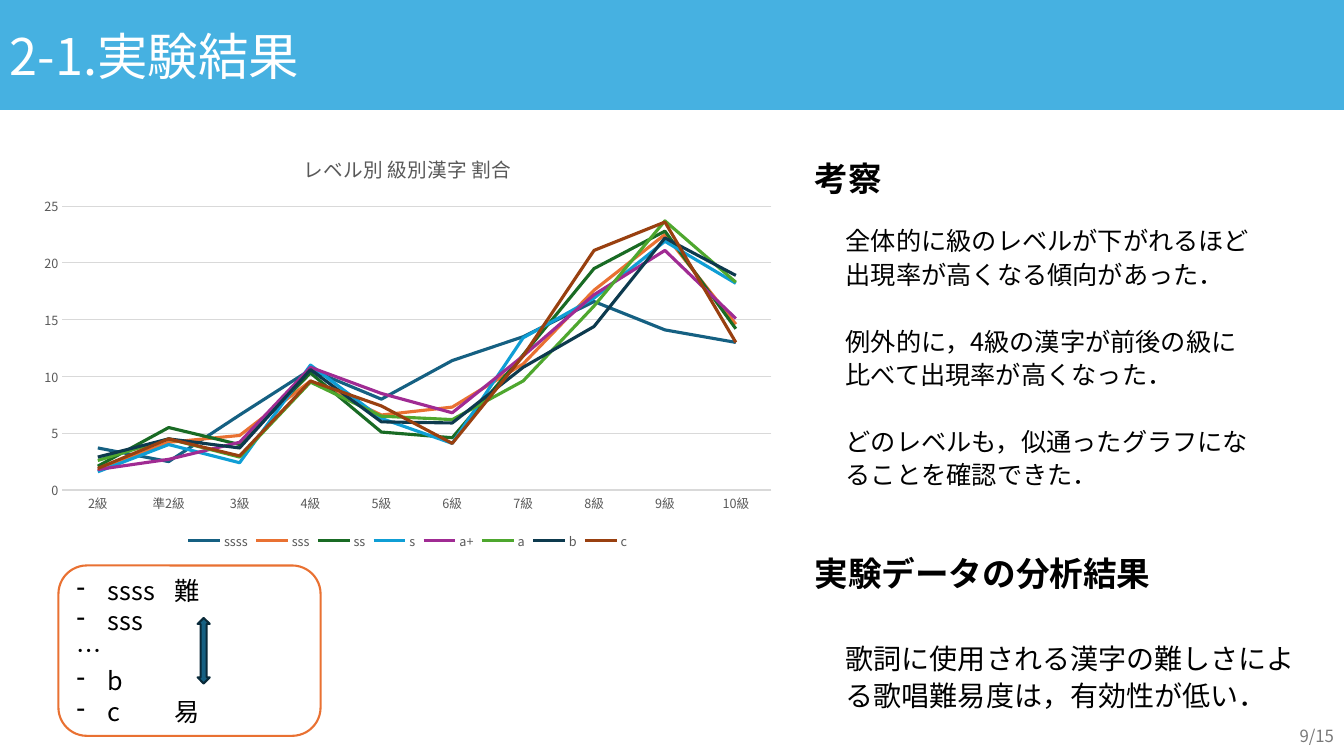
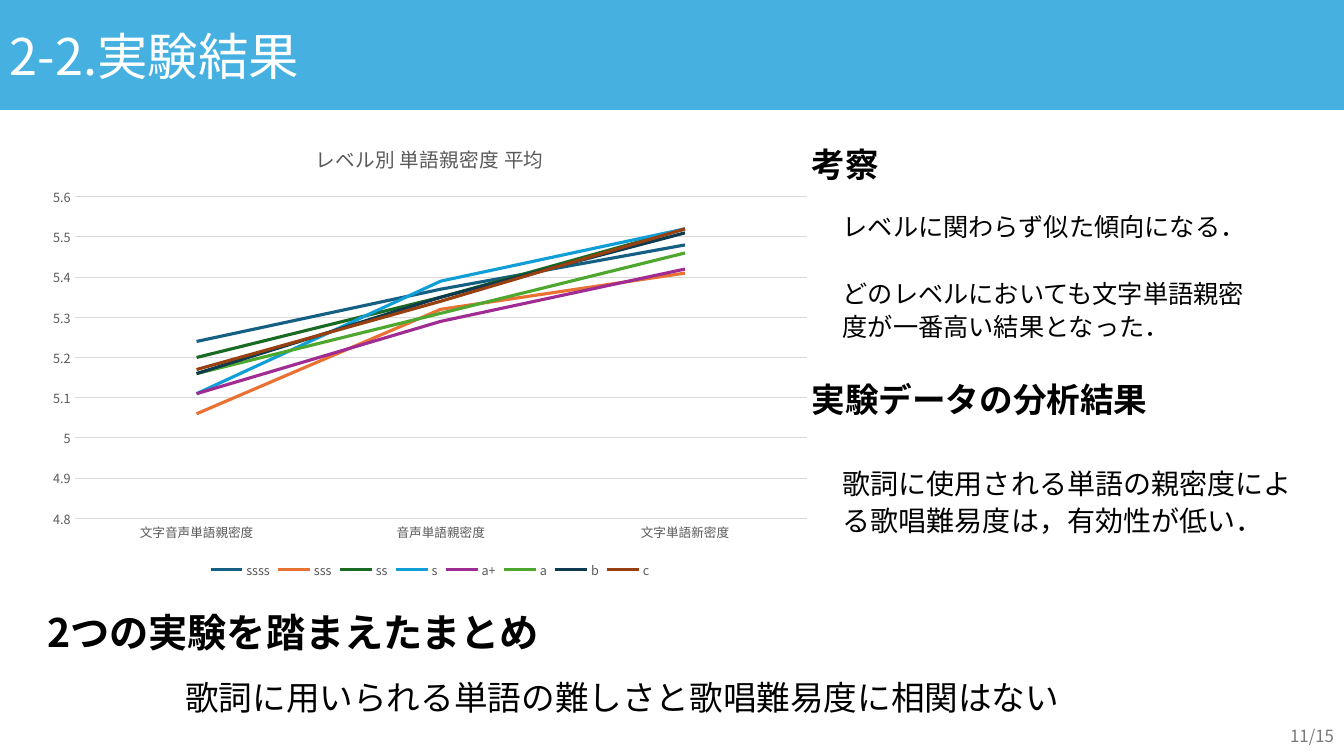
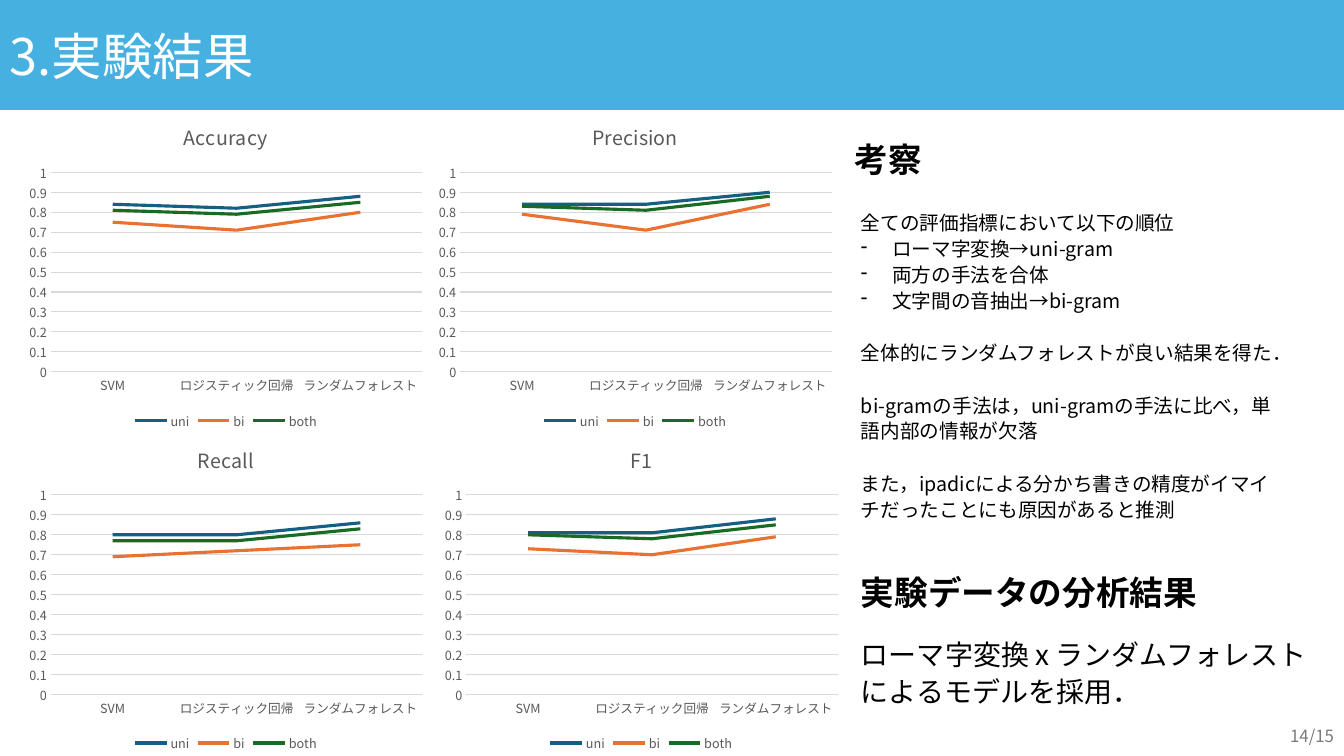
from functools import partial

from lxml.etree import SubElement
from pptx import Presentation
from pptx.chart.data import CategoryChartData
from pptx.dml.color import RGBColor
from pptx.enum.chart import XL_CHART_TYPE as ChartType, XL_LEGEND_POSITION as LegendPos, XL_TICK_MARK as Tick
from pptx.enum.lang import MSO_LANGUAGE_ID as Lang
from pptx.enum.shapes import MSO_SHAPE as Shape
from pptx.enum.text import MSO_ANCHOR as Anchor, PP_ALIGN as Align
from pptx.oxml.ns import qn
from pptx.util import Inches, Pt

FONT = "Noto Sans CJK JP"
BLACK = RGBColor(0x00, 0x00, 0x00)
WHITE = RGBColor(0xFF, 0xFF, 0xFF)
SKY = RGBColor(0x46, 0xB1, 0xE1)
GRAY = RGBColor(0x79, 0x79, 0x79)
LABEL = RGBColor(0x59, 0x59, 0x59)
GRID = RGBColor(0xD9, 0xD9, 0xD9)
TEAL = RGBColor(0x15, 0x60, 0x82)
NAVY = RGBColor(0x09, 0x2A, 0x39)
ORANGE = RGBColor(0xE9, 0x71, 0x32)
SERIES_COLORS = [
    TEAL, ORANGE, RGBColor(0x19, 0x6B, 0x24), RGBColor(0x0F, 0x9E, 0xD5),
    RGBColor(0xA0, 0x2B, 0x93), RGBColor(0x4E, 0xA7, 0x2E),
    RGBColor(0x0D, 0x3A, 0x4E), RGBColor(0x99, 0x40, 0x10),
]
SLIDE_W, SLIDE_H = 13.33, 7.5
INDENT = 0.31
PAGES = 15

GRADES = ["2級", "準2級", "3級", "4級", "5級", "6級", "7級", "8級", "9級", "10級"]
GRADE_RATES = {
    "ssss": [3.7, 2.5, 6.6, 10.6, 8, 11.4, 13.5, 16.6, 14.1, 13],
    "sss": [1.7, 4.2, 4.8, 9.6, 6.6, 7.3, 11.1, 17.6, 22.5, 14.6],
    "ss": [2.1, 5.5, 4, 10.3, 5.1, 4.6, 11.9, 19.5, 22.8, 14.2],
    "s": [1.6, 4, 2.4, 11, 6.3, 4.1, 13.4, 16.9, 21.9, 18.2],
    "a+": [1.8, 2.7, 4.2, 10.8, 8.5, 6.8, 11.8, 17.2, 21.1, 15.1],
    "a": [2.6, 4.5, 2.9, 9.5, 6.5, 6.2, 9.6, 16.2, 23.7, 18.3],
    "b": [2.9, 4.5, 3.7, 10.6, 6, 5.9, 10.8, 14.4, 22.2, 18.9],
    "c": [1.9, 4.5, 3, 9.6, 7.4, 4.1, 11.8, 21.1, 23.6, 13],
}
FAMILIARITY_KINDS = ["文字音声単語親密度", "音声単語親密度", "文字単語新密度"]
FAMILIARITY = {
    "ssss": [5.24, 5.37, 5.48],
    "sss": [5.06, 5.32, 5.41],
    "ss": [5.2, 5.35, 5.52],
    "s": [5.11, 5.39, 5.52],
    "a+": [5.11, 5.29, 5.42],
    "a": [5.16, 5.31, 5.46],
    "b": [5.16, 5.35, 5.51],
    "c": [5.17, 5.34, 5.52],
}
MODELS = ["SVM", "ロジスティック回帰", "ランダムフォレスト"]
SCORES = [
    ("Accuracy", (0.21, 1.04), [0.84, 0.82, 0.88], [0.75, 0.71, 0.8], [0.81, 0.79, 0.85]),
    ("Precision", (4.27, 1.04), [0.84, 0.84, 0.9], [0.79, 0.71, 0.84], [0.83, 0.81, 0.88]),
    ("Recall", (0.21, 4.24), [0.8, 0.8, 0.86], [0.69, 0.72, 0.75], [0.77, 0.77, 0.83]),
    ("F1", (4.33, 4.24), [0.81, 0.81, 0.88], [0.73, 0.7, 0.79], [0.8, 0.78, 0.85]),
]


def style_font(font, size, color, bold=False):
    """Set the shared typeface with a size, colour and weight."""
    font.name, font.size, font.bold = FONT, Pt(size), bold
    font.color.rgb = color


def write(frame, lines, size=18, color=BLACK, bold=False, align=Align.LEFT,
          spacing=None, anchor=Anchor.TOP, tab=None):
    """Fill a frame; "- " starts a bullet and "^" opens a new block."""
    frame.word_wrap, frame.vertical_anchor = True, anchor
    for number, line in enumerate(lines):
        par = frame.paragraphs[0] if number == 0 else frame.add_paragraph()
        par.alignment, par.line_spacing = align, spacing
        if line.startswith("^"):
            par.space_before = Pt(round(size * 1.33))
        props = par._p.get_or_add_pPr()
        if line.startswith("- "):
            props.set("marL", str(Inches(INDENT)))
            props.set("indent", str(Inches(-INDENT)))
            SubElement(props, qn("a:buChar")).set("char", "-")
        if tab and "\t" in line:
            stops = SubElement(props, qn("a:tabLst"))
            SubElement(stops, qn("a:tab"), pos=str(Inches(tab)), algn="l")
        run = par.add_run()
        run.text = line.removeprefix("^").removeprefix("- ")
        style_font(run.font, size, color, bold)
        run.font.language_id = Lang.JAPANESE
        SubElement(run.font._element, qn("a:ea")).set("typeface", FONT)


def add_text(slide, box, *lines, **style):
    """Place a text box."""
    area = slide.shapes.add_textbox(*map(Inches, box))
    write(area.text_frame, lines, **style)


add_body = partial(add_text, spacing=1.1)


def add_block(slide, kind, box, fill, outline=None):
    """Place a flat preset shape."""
    block = slide.shapes.add_shape(kind, *map(Inches, box))
    block.shadow.inherit = False
    block.fill.solid()
    block.fill.fore_color.rgb = fill
    if outline:
        block.line.color.rgb, block.line.width = outline, Pt(1.5)
    else:
        block.line.fill.background()
    return block


def add_heading(slide, left, top, text, size=24, width=3.91):
    """Place a bold section heading."""
    add_text(slide, (left, top, width, 0.5), text, size=size, bold=True)


def add_line_chart(slide, box, title, categories, series, low, high, step):
    """Place a line chart with title, gridlines and bottom legend."""
    data = CategoryChartData()
    data.categories = categories
    for name, values in series.items():
        data.add_series(name, values)
    chart = slide.shapes.add_chart(ChartType.LINE, *map(Inches, box), data).chart
    style_font(chart.font, 10, BLACK)
    heading = chart.chart_title.text_frame
    heading.text = title
    style_font(heading.paragraphs[0].runs[0].font, 14, LABEL)
    chart.chart_title.include_in_layout = False
    chart.has_legend = True
    chart.legend.position = LegendPos.BOTTOM
    chart.legend.include_in_layout = False
    style_font(chart.legend.font, 9, LABEL)
    levels = chart.value_axis
    for axis in (chart.category_axis, levels):
        style_font(axis.tick_labels.font, 9, LABEL)
        axis.major_tick_mark = axis.minor_tick_mark = Tick.NONE
    levels.minimum_scale, levels.maximum_scale, levels.major_unit = low, high, step
    levels.format.line.fill.background()
    for line in (chart.category_axis.format.line, levels.major_gridlines.format.line):
        line.color.rgb, line.width = GRID, Pt(0.75)
    chart.plots[0].vary_by_categories = False
    for color, curve in zip(SERIES_COLORS, chart.plots[0].series):
        curve.smooth = False
        curve.format.line.color.rgb, curve.format.line.width = color, Pt(2.25)


def start_slide(deck, title, page):
    """Add a slide with the title band and page number."""
    slide = deck.slides.add_slide(deck.slide_layouts[6])
    band = add_block(slide, Shape.RECTANGLE, (0, 0, SLIDE_W, 1.09), SKY)
    write(band.text_frame, [title], size=36, color=WHITE, anchor=Anchor.MIDDLE)
    add_text(slide, (SLIDE_W - 3, SLIDE_H - 0.4, 3, 0.4), f"{page}/{PAGES}",
             size=12, color=GRAY, align=Align.RIGHT, anchor=Anchor.MIDDLE)
    return slide


def add_level_key(slide, left, top):
    """Place the framed scale from hard to easy levels."""
    key = add_block(slide, Shape.ROUNDED_RECTANGLE, (left, top, 2.6, 1.69), WHITE, ORANGE)
    write(key.text_frame, ["- ssss\t難", "- sss", "…", "- b", "- c\t易"],
          anchor=Anchor.MIDDLE, tab=0.97)
    add_block(slide, Shape.UP_DOWN_ARROW, (left + 1.38, top + 0.52, 0.12, 0.65), TEAL, NAVY)


def build_kanji_slide(deck):
    """Build the kanji grade results."""
    slide = start_slide(deck, "2-1.実験結果", 9)
    add_line_chart(slide, (0.29, 1.34, 7.51, 4.15), "レベル別 級別漢字 割合",
                   GRADES, GRADE_RATES, 0, 25, 5)
    add_level_key(slide, 0.58, 5.61)
    add_heading(slide, 7.98, 1.52, "考察")
    add_body(slide, (8.29, 2.16, 4.38, 2.72),
             "全体的に級のレベルが下がれるほど", "出現率が高くなる傾向があった．",
             "^例外的に，4級の漢字が前後の級に", "比べて出現率が高くなった．",
             "^どのレベルも，似通ったグラフになることを確認できた．")
    add_heading(slide, 7.98, 5.44, "実験データの分析結果")
    add_body(slide, (8.29, 6.28, 4.88, 0.79),
             "歌詞に使用される漢字の難しさによる歌唱難易度は，有効性が低い．", size=20)


def build_familiarity_slide(deck):
    """Build the word familiarity results and the summary."""
    slide = start_slide(deck, "2-2.実験結果", 11)
    add_line_chart(slide, (0.37, 1.23, 7.79, 4.55), "レベル別 単語親密度 平均",
                   FAMILIARITY_KINDS, FAMILIARITY, 4.8, 5.6, 0.1)
    add_heading(slide, 7.95, 1.38, "考察")
    add_body(slide, (8.26, 2.02, 4.38, 1.39), "レベルに関わらず似た傾向になる．",
             "^どのレベルにおいても文字単語親密度が一番高い結果となった．")
    add_heading(slide, 7.95, 3.71, "実験データの分析結果")
    add_body(slide, (8.26, 4.55, 4.91, 0.79),
             "歌詞に使用される単語の親密度による歌唱難易度は，有効性が低い．", size=20)
    add_heading(slide, 0.37, 5.99, "2つの実験を踏まえたまとめ", size=28, width=6.73)
    add_text(slide, (1.74, 6.67, 9.24, 0.5),
             "歌詞に用いられる単語の難しさと歌唱難易度に相関はない", size=24)


def build_model_slide(deck):
    """Build the four model score charts and their discussion."""
    slide = start_slide(deck, "3.実験結果", 14)
    for title, corner, *values in SCORES:
        add_line_chart(slide, (*corner, 4.06, 3.26), title, MODELS,
                       dict(zip(["uni", "bi", "both"], values)), 0, 1, 0.1)
    add_heading(slide, 8.38, 1.33, "考察")
    add_body(slide, (8.44, 2.02, 4.38, 3.17), "全ての評価指標において以下の順位",
             "- ローマ字変換→uni-gram", "- 両方の手法を合体", "- 文字間の音抽出→bi-gram",
             "^全体的にランダムフォレストが良い結果を得た．",
             "^bi-gramの手法は，uni-gramの手法に比べ，単語内部の情報が欠落",
             "^また，ipadicによる分かち書きの精度がイマイチだったことにも原因があると推測",
             size=14)
    add_heading(slide, 8.44, 5.62, "実験データの分析結果")
    add_body(slide, (8.44, 6.24, 4.68, 0.79),
             "ローマ字変換 x ランダムフォレスト", "によるモデルを採用．", size=20)


def main():
    """Build and save the deck."""
    deck = Presentation()
    deck.slide_width, deck.slide_height = Inches(SLIDE_W), Inches(SLIDE_H)
    for build in (build_kanji_slide, build_familiarity_slide, build_model_slide):
        build(deck)
    deck.save("out.pptx")


if __name__ == "__main__":
    main()
